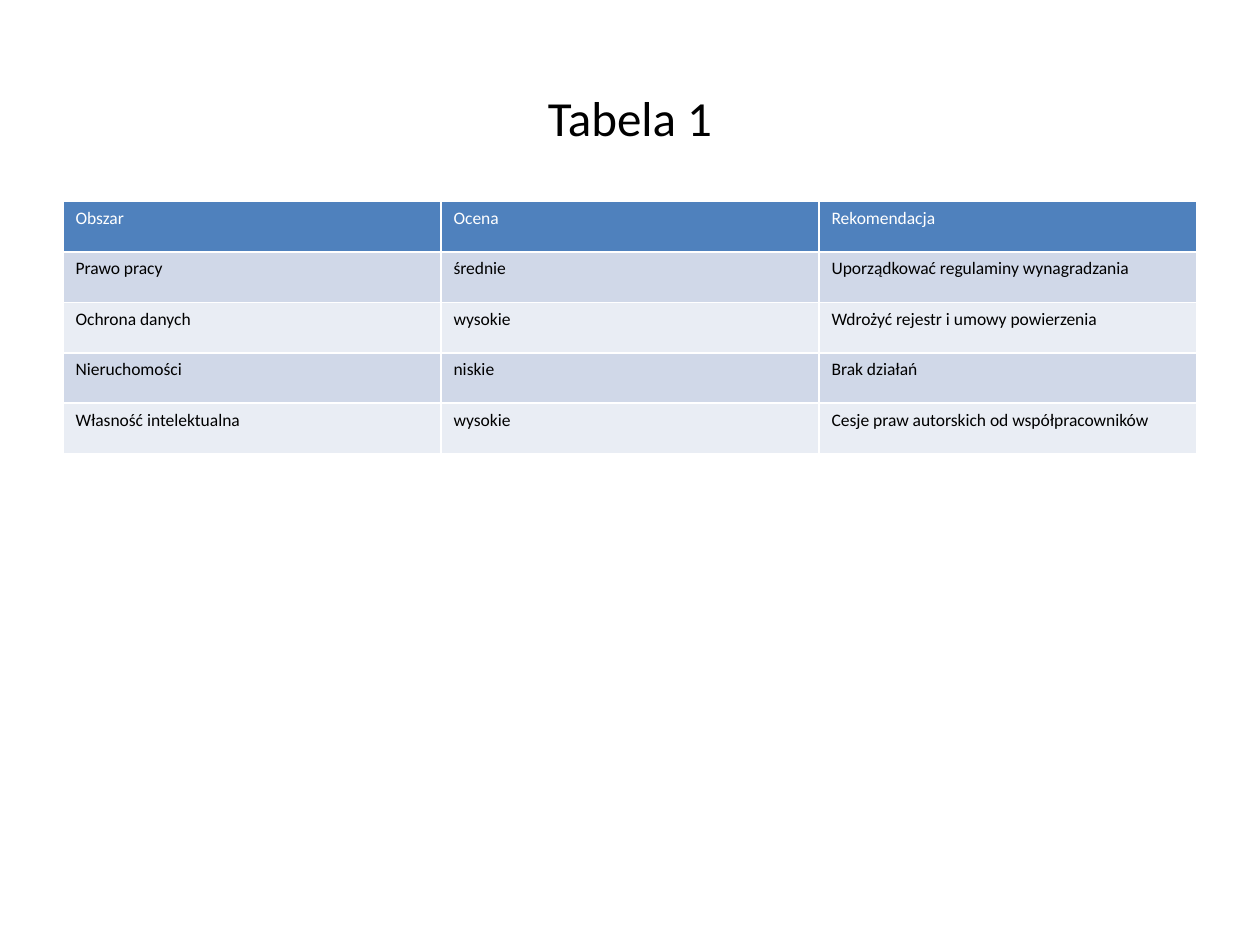
import pptx
import pptx.util
import pptx.dml.color
import pptx.enum.text

Inches = pptx.util.Inches
RGBColor = pptx.dml.color.RGBColor

BLACK = RGBColor(0x00, 0x00, 0x00)
WHITE = RGBColor(0xFF, 0xFF, 0xFF)
HEADER_BLUE = RGBColor(0x4F, 0x81, 0xBD)
BANDS = (RGBColor(0xD0, 0xD8, 0xE8), RGBColor(0xE9, 0xED, 0xF4))

TITLE_FORMAT = {"name": "Calibri", "size": pptx.util.Pt(28), "bold": False}
CELL_FORMAT = {"name": "Calibri", "size": pptx.util.Pt(10), "bold": False}

ASSESSMENT = (
    ("Obszar", "Ocena", "Rekomendacja"),
    ("Prawo pracy", "średnie", "Uporządkować regulaminy wynagradzania"),
    ("Ochrona danych", "wysokie", "Wdrożyć rejestr i umowy powierzenia"),
    ("Nieruchomości", "niskie", "Brak działań"),
    ("Własność intelektualna", "wysokie", "Cesje praw autorskich od współpracowników"),
)


def format_font(font, values, color):
    for name, value in values.items():
        setattr(font, name, value)
    font.color.rgb = color


def place_title(slide, text, box):
    title = slide.shapes.title
    for name, value in zip(("left", "top", "width", "height"), box):
        setattr(title, name, value)
    title.text_frame.text = text
    title.text_frame.vertical_anchor = pptx.enum.text.MSO_ANCHOR.MIDDLE
    paragraph = title.text_frame.paragraphs[0]
    paragraph.alignment = pptx.enum.text.PP_ALIGN.CENTER
    format_font(paragraph.runs[0].font, TITLE_FORMAT, BLACK)


def place_table(slide, rows, box):
    table = slide.shapes.add_table(len(rows), len(rows[0]), *box).table
    for row_index, row in enumerate(rows):
        is_header = row_index == 0
        fill_color = HEADER_BLUE if is_header else BANDS[(row_index - 1) % 2]
        for column_index, text in enumerate(row):
            cell = table.cell(row_index, column_index)
            cell.text = text
            cell.fill.solid()
            cell.fill.fore_color.rgb = fill_color
            font = cell.text_frame.paragraphs[0].runs[0].font
            format_font(font, CELL_FORMAT, WHITE if is_header else BLACK)


def main():
    presentation = pptx.Presentation()
    presentation.slide_width = Inches(10)
    presentation.slide_height = Inches(7.5)
    slide = presentation.slides.add_slide(presentation.slide_layouts.get_by_name("Title Only"))
    margin = Inches(0.5)
    content_width = presentation.slide_width - 2 * margin
    place_title(slide, "Tabela 1", (margin, Inches(0.3), content_width, Inches(1.25)))
    place_table(slide, ASSESSMENT, (margin, Inches(1.6), content_width, Inches(2)))
    presentation.save("out.pptx")


if __name__ == "__main__":
    main()
